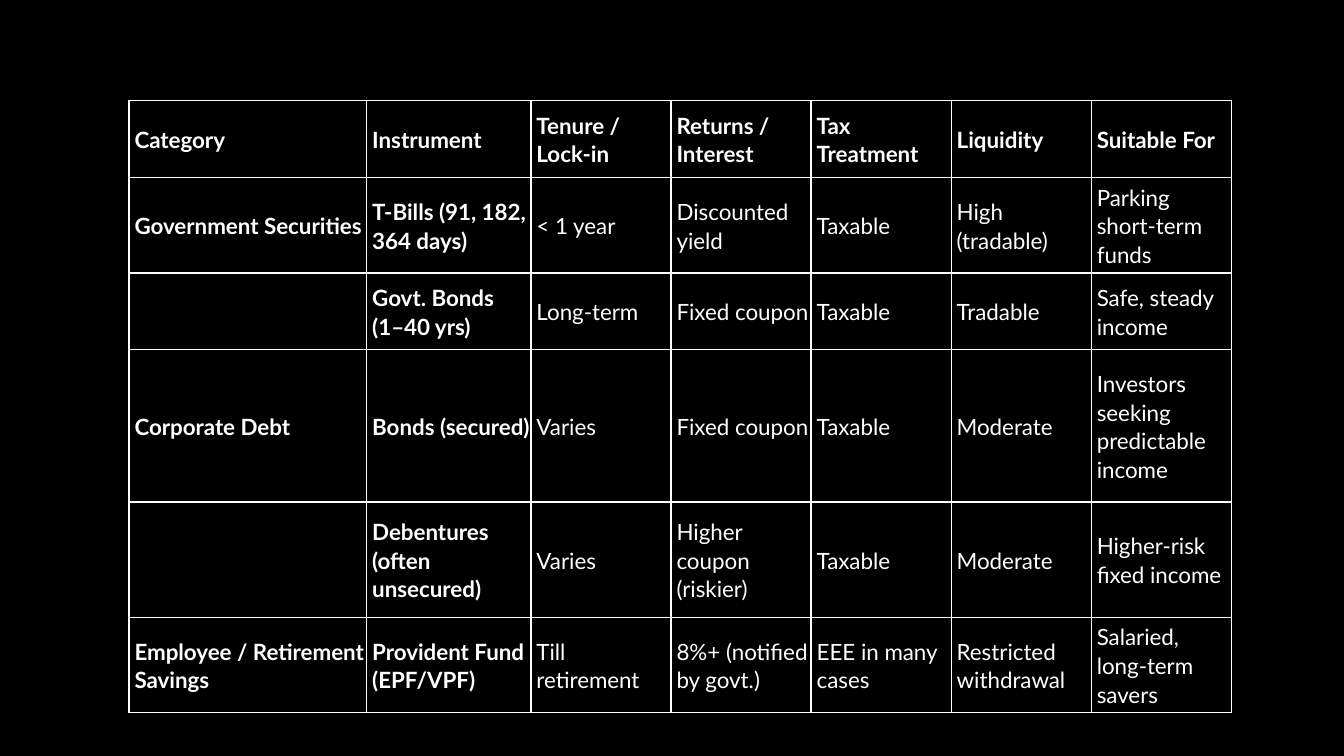
import pptx
import pptx.util
import pptx.dml.color
import pptx.enum.text
import pptx.oxml
from pptx.util import Cm

WHITE = "FFFFFF"
BLACK = "000000"
WIDTHS = [5.99, 4.14] + [3.53] * 5
HEIGHTS = [1.93, 2.41, 1.93, 3.84, 2.9, 2.41]
ROWS = [
    ["Category", "Instrument", "Tenure / Lock-in", "Returns / Interest",
     "Tax Treatment", "Liquidity", "Suitable For"],
    ["Government Securities", "T-Bills (91, 182, 364 days)", "< 1 year",
     "Discounted yield", "Taxable", "High (tradable)",
     "Parking short-term funds"],
    ["", "Govt. Bonds (1–40 yrs)", "Long-term", "Fixed coupon", "Taxable",
     "Tradable", "Safe, steady income"],
    ["Corporate Debt", "Bonds (secured)", "Varies", "Fixed coupon", "Taxable",
     "Moderate", "Investors seeking predictable income"],
    ["", "Debentures (often unsecured)", "Varies", "Higher coupon (riskier)",
     "Taxable", "Moderate", "Higher-risk fixed income"],
    ["Employee / Retirement Savings", "Provident Fund (EPF/VPF)",
     "Till retirement", "8%+ (notified by govt.)", "EEE in many cases",
     "Restricted withdrawal", "Salaried, long-term savers"],
]


def tint(hue):
    """Turn a hex string into a colour."""
    return pptx.dml.color.RGBColor.from_string(hue)


def write(frame, text, size=16, bold=False, hue=WHITE, face="Lato"):
    """Put one formatted paragraph in a text frame."""
    para = frame.paragraphs[0]
    para.line_spacing = 1.07
    para.space_after = pptx.util.Pt(8)
    props = para._p.get_or_add_pPr()
    props.set("marL", str(Cm(0.11)))
    props.set("indent", "0")
    run = para.add_run()
    run.text = text
    font = run.font
    font.size = pptx.util.Pt(size)
    font.bold = bold
    font.name = face
    font.color.rgb = tint(hue)


def border(cell, hue=WHITE, width=1):
    """Draw a solid line on all four sides of a cell."""
    props = cell._tc.get_or_add_tcPr()
    space = "http://schemas.openxmlformats.org/drawingml/2006/main"
    for side in "LRTB":
        props.append(pptx.oxml.parse_xml(
            f'<a:ln{side} xmlns:a="{space}" w="{pptx.util.Pt(width)}">'
            f'<a:solidFill><a:srgbClr val="{hue}"/></a:solidFill>'
            f'</a:ln{side}>'))


def style(cell):
    """Set the margins, anchor, border and fill of a cell."""
    cell.margin_left = cell.margin_right = Cm(0.03)
    cell.margin_top = cell.margin_bottom = Cm(0.03)
    cell.vertical_anchor = pptx.enum.text.MSO_ANCHOR.MIDDLE
    border(cell)
    cell.fill.background()


def add_grid(slide, left, top):
    """Add the table of debt instruments."""
    grid = slide.shapes.add_table(
        len(ROWS), len(WIDTHS), Cm(left), Cm(top),
        Cm(sum(WIDTHS)), Cm(sum(HEIGHTS))).table
    grid.first_row = grid.horz_banding = False
    for col, width in zip(grid.columns, WIDTHS):
        col.width = Cm(width)
    for row, height in zip(grid.rows, HEIGHTS):
        row.height = Cm(height)
    for r, line in enumerate(ROWS):
        for c, text in enumerate(line):
            cell = grid.cell(r, c)
            style(cell)
            if text:
                write(cell.text_frame, text, bold=r == 0 or c < 2)


def main():
    """Build and save the slide."""
    deck = pptx.Presentation()
    deck.slide_width = Cm(33.87)
    deck.slide_height = Cm(19.05)
    slide = deck.slides.add_slide(deck.slide_layouts[6])
    slide.background.fill.solid()
    slide.background.fill.fore_color.rgb = tint(BLACK)
    add_grid(slide, 3.25, 2.54)
    deck.save("out.pptx")


if __name__ == "__main__":
    main()
